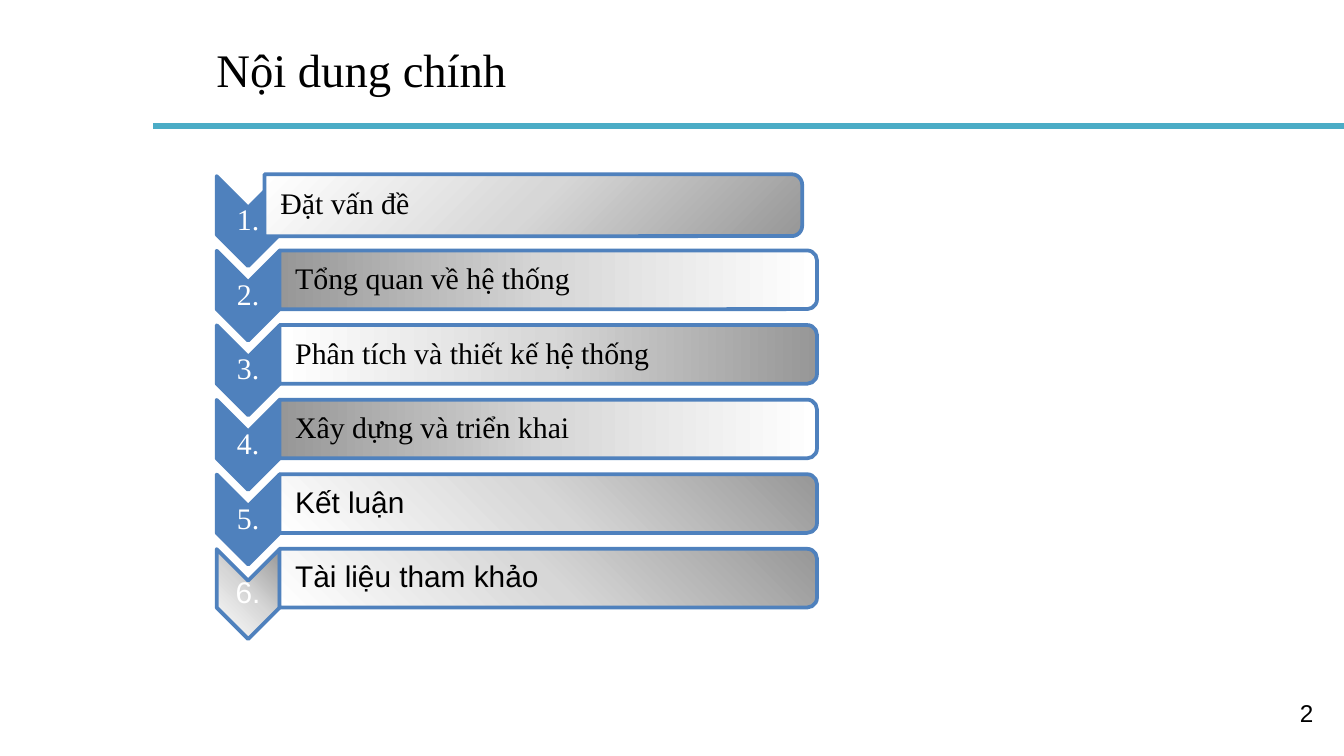
import pptx
import pptx.dml.color
import pptx.enum.shapes
import pptx.enum.text
import pptx.oxml
import pptx.oxml.ns
import pptx.util

Cm = pptx.util.Cm
Pt = pptx.util.Pt
ALIGN = pptx.enum.text.PP_ALIGN
ANCHOR = pptx.enum.text.MSO_ANCHOR
SHAPE = pptx.enum.shapes.MSO_SHAPE

SERIF, SANS = "Times New Roman", "Arial"
BLUE, TEAL, BLACK, WHITE = "4F81BD", "4BACC6", "000000", "FFFFFF"
STOPS = ((0, "979797"), (50, "D7D7D7"), (100, "FFFFFF"))

# Direction of each gradient, dark end first
FROM_LEFT = '<a:lin ang="0" scaled="0"/>'
FROM_RIGHT = '<a:lin ang="10800000" scaled="0"/>'
FROM_CORNER = '<a:path path="circle"><a:fillToRect {}/></a:path>'
FROM_BOTTOM_RIGHT = FROM_CORNER.format('l="100000" t="100000"')
FROM_TOP_RIGHT = FROM_CORNER.format('l="100000" b="100000"')

# Text, font, bar fill, chevron fill
CHAPTERS = (
    ("Đặt vấn đề", SERIF, FROM_BOTTOM_RIGHT, BLUE),
    ("Tổng quan về hệ thống", SERIF, FROM_LEFT, BLUE),
    ("Phân tích và thiết kế hệ thống", SERIF, FROM_RIGHT, BLUE),
    ("Xây dựng và triển khai", SERIF, FROM_LEFT, BLUE),
    ("Kết luận", SANS, FROM_TOP_RIGHT, BLUE),
    ("Tài liệu tham khảo", SANS, FROM_TOP_RIGHT, FROM_TOP_RIGHT),
)
ROW_PITCH = 1.41
CHEVRON_X, CHEVRON_Y = 4.69, 4.18
BAR_X, BAR_Y, BAR_LENGTH = 10.36, 3.88, 10.16


def color(value):
    return pptx.dml.color.RGBColor.from_string(value)


def apply_format(target, values):
    for name, value in values.items():
        setattr(target, name, value)


def write_text(frame, text, font, size, ink=BLACK, margins=(0, 0, 0, 0),
               anchor=ANCHOR.MIDDLE, align=ALIGN.LEFT, spacing=1.0):
    left, top, right, bottom = (Cm(margin) for margin in margins)
    apply_format(frame, {
        "margin_left": left, "margin_top": top, "margin_right": right,
        "margin_bottom": bottom, "word_wrap": True, "vertical_anchor": anchor,
        "auto_size": pptx.enum.text.MSO_AUTO_SIZE.NONE,
    })
    para = frame.paragraphs[0]
    apply_format(para, {"alignment": align, "line_spacing": spacing})
    span = para.add_run()
    span.text = text
    apply_format(span.font, {"name": font, "size": Pt(size), "bold": False})
    span.font.color.rgb = color(ink)


def add_text(slide, left, top, width, height, text, font, size, **options):
    box = slide.shapes.add_textbox(Cm(left), Cm(top), Cm(width), Cm(height))
    write_text(box.text_frame, text, font, size, **options)


def set_gradient(shape, direction):
    """Fill with the grey gradient, kept level while the shape is turned."""
    stops = "".join(
        f'<a:gs pos="{position * 1000}"><a:srgbClr val="{value}"/></a:gs>'
        for position, value in STOPS)
    gradient = pptx.oxml.parse_xml(
        f'<a:gradFill {pptx.oxml.ns.nsdecls("a")} rotWithShape="0">'
        f"<a:gsLst>{stops}</a:gsLst>{direction}</a:gradFill>")
    shape.fill.background()
    properties = shape.element.spPr
    empty = properties.find(pptx.oxml.ns.qn("a:noFill"))
    properties.replace(empty, gradient)


def add_turned_shape(slide, kind, center_x, center_y, length, thickness, fill):
    """Add a shape turned by a quarter; length is its unturned width."""
    shape = slide.shapes.add_shape(
        kind, Cm(center_x - length / 2), Cm(center_y - thickness / 2),
        Cm(length), Cm(thickness))
    shape.rotation = 90
    shape.shadow.inherit = False
    if fill.startswith("<"):
        set_gradient(shape, fill)
    else:
        shape.fill.solid()
        shape.fill.fore_color.rgb = color(fill)
    shape.line.color.rgb = color(BLUE)
    shape.line.width = Pt(2)


def add_chapter(slide, index, text, font, bar_fill, chevron_fill):
    offset = index * ROW_PITCH
    first = index == 0

    # Numbered chevron
    middle = CHEVRON_Y + offset
    add_turned_shape(slide, SHAPE.CHEVRON, CHEVRON_X, middle, 1.7, 1.19,
                     chevron_fill)
    add_text(slide, CHEVRON_X - 0.6, middle - 0.25, 1.2, 0.5, f"{index + 1}.",
             font if chevron_fill != BLUE else SERIF, 16, ink=WHITE,
             margins=(0.03,) * 4, align=ALIGN.CENTER, spacing=0.9)

    # Bar with the chapter name; the first one is taller and further left
    center = BAR_X - 0.28 if first else BAR_X
    middle = BAR_Y + offset
    add_turned_shape(slide, SHAPE.ROUND_2_SAME_RECTANGLE, center, middle,
                     1.17 if first else 1.11, BAR_LENGTH, bar_fill)
    add_text(slide, center - BAR_LENGTH / 2, middle - 0.5, 10.1, 1, text,
             font, 16, margins=(0.3, 0.03, 0.03, 0.03), spacing=0.9)


def add_rule(slide):
    rule = slide.shapes.add_connector(
        pptx.enum.shapes.MSO_CONNECTOR.STRAIGHT,
        Cm(2.9), Cm(2.38), Cm(25.4), Cm(2.38))
    rule.line.color.rgb = color(TEAL)
    rule.line.width = Pt(3)
    rule.element.spPr.append(pptx.oxml.parse_xml(
        f'<a:effectLst {pptx.oxml.ns.nsdecls("a")}/>'))


def add_title(slide, text):
    title = slide.shapes.title
    apply_format(title, {"left": Cm(4.09), "top": Cm(0.51),
                         "width": Cm(20.45), "height": Cm(1.6)})
    write_text(title.text_frame, text, SERIF, 25)


def main():
    deck = pptx.Presentation()
    apply_format(deck, {"slide_width": Cm(25.4), "slide_height": Cm(14.29)})
    slide = deck.slides.add_slide(deck.slide_layouts[5])

    # Heading
    add_rule(slide)
    add_title(slide, "Nội dung chính")

    # Chapter list
    for index, chapter in enumerate(CHAPTERS):
        add_chapter(slide, index, *chapter)

    # Page number
    add_text(slide, 23.55, 12.95, 1.52, 1.09, "2", SANS, 13,
             margins=(0.25,) * 4, anchor=ANCHOR.TOP, align=ALIGN.RIGHT)
    deck.save("out.pptx")


if __name__ == "__main__":
    main()
